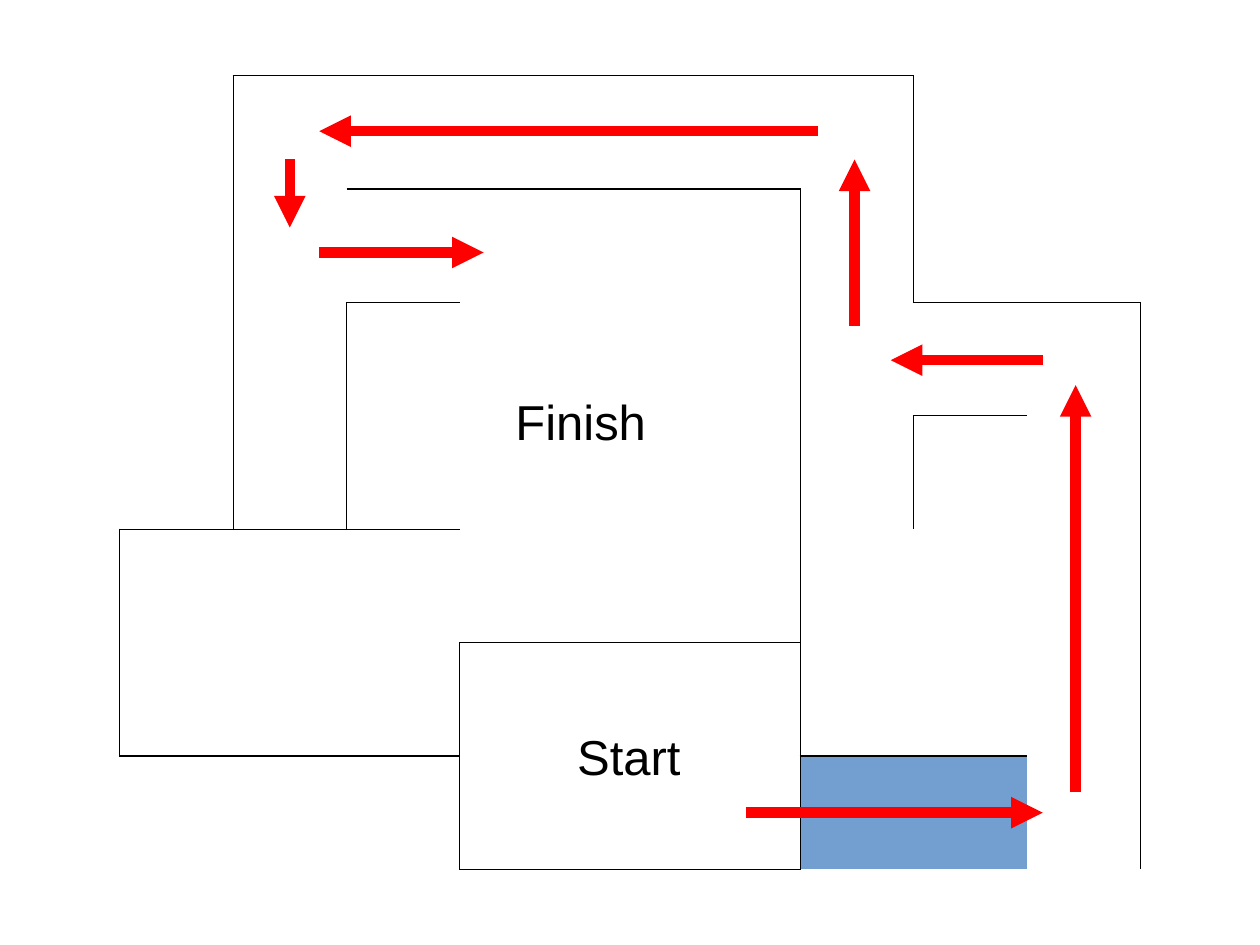
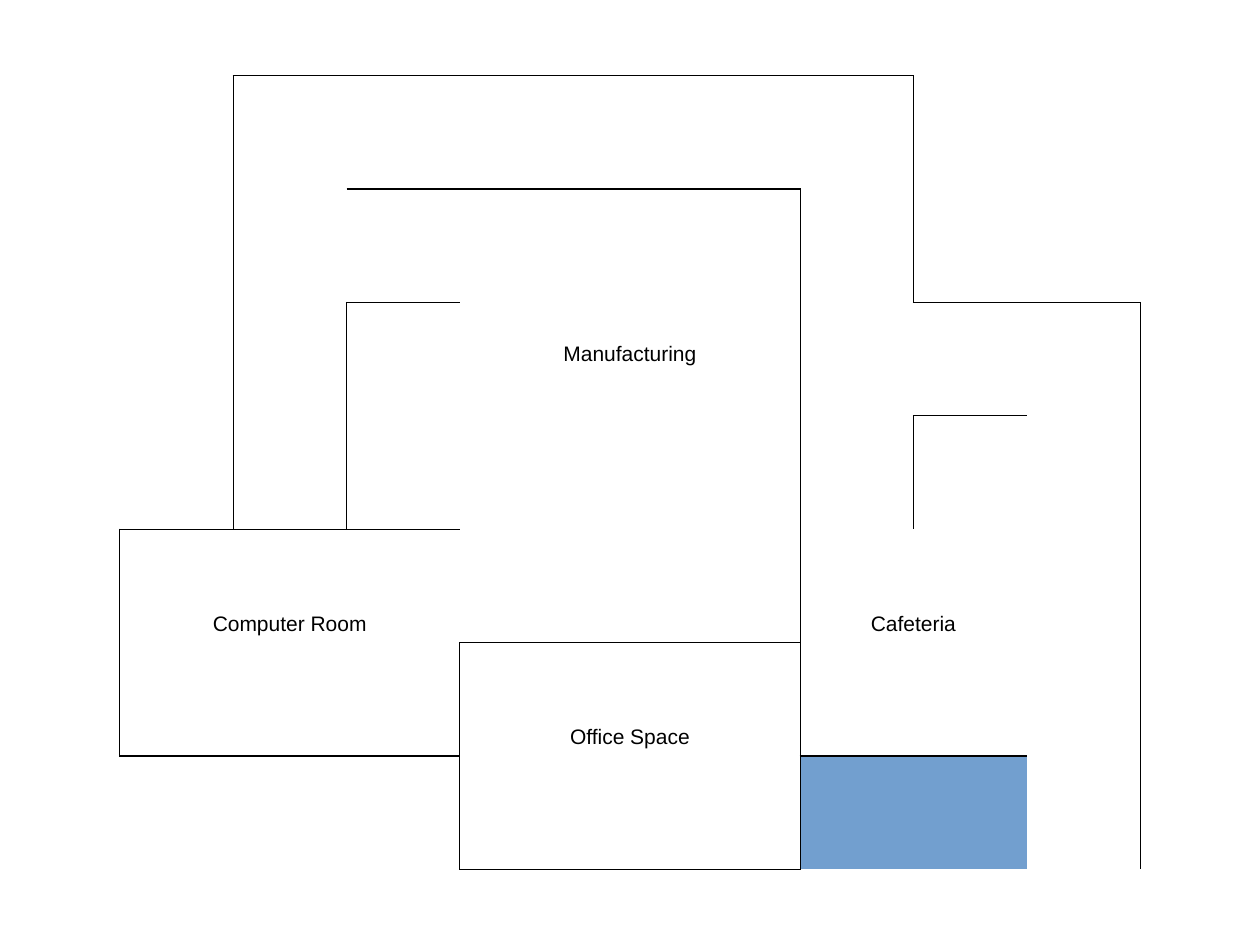
import pptx
import pptx.dml.color
import pptx.enum.shapes
import pptx.enum.text
import pptx.oxml
import pptx.oxml.ns
import pptx.util

BLACK, RED, BLUE = "000000", "FF0000", "729FCF"
FONT = "Arial"
CELL, LEFT, TOP = 0.9, 0.95, 0.6  # inches: grid step and its corner
ROWS, COLUMNS = 7, 9
PLAIN_TABLE_STYLE = "{2D5ABB26-0587-4C30-8999-92F81FD0307C}"

# Rooms and corridors: row, column, rows, columns, walls (L, R, T, B)
ROOMS = [
    (0, 1, 4, 1, "LT"),
    (0, 2, 1, 5, "RT"),
    (0, 7, 1, 1, "L"),
    (1, 2, 1, 1, "TB"),
    (1, 3, 4, 3, "RTB"),
    (1, 6, 3, 1, "L"),
    (1, 7, 1, 1, "LB"),
    (1, 8, 1, 1, "B"),
    (2, 2, 1, 1, "LT"),
    (2, 7, 1, 1, "TB"),
    (2, 8, 5, 1, "RTB"),
    (3, 2, 1, 1, "LB"),
    (3, 7, 1, 1, "LT"),
    (4, 0, 2, 3, "LTB"),
    (4, 6, 2, 2, "LB"),
    (5, 3, 2, 3, "LRTB"),
    (6, 0, 1, 1, "T"),
    (6, 1, 1, 1, "T"),
    (6, 2, 1, 1, "TR"),
    (6, 6, 1, 2, "LT"),
]
BLUE_ROOM = (6, 6)

# Room names: row, column, name, rows between the top wall and the name
ROOM_NAMES = [
    (1, 3, "Manufacturing", 1.35),
    (4, 0, "Computer Room", 0.73),
    (4, 6, "Cafeteria", 0.73),
    (5, 3, "Office Space", 0.73),
]

# Route from start to finish: column and row of both ends
ROUTE = [
    ((5.52, 6.5), (8.14, 6.5)),
    ((8.43, 6.32), (8.43, 2.73)),
    ((8.14, 2.51), (6.8, 2.51)),
    ((6.48, 2.21), (6.48, 0.74)),
    ((6.16, 0.49), (1.76, 0.49)),
    ((1.5, 0.74), (1.5, 1.34)),
    ((1.76, 1.56), (3.21, 1.56)),
]


def color(value):
    return pptx.dml.color.RGBColor.from_string(value)


def span(cells):
    return pptx.util.Inches(cells * CELL)


def position(column, row):
    return (pptx.util.Inches(LEFT + column * CELL),
            pptx.util.Inches(TOP + row * CELL))


def write(text_frame, text, size=12, fill=BLACK,
          align=pptx.enum.text.PP_ALIGN.CENTER):
    paragraph = text_frame.paragraphs[0]
    paragraph.alignment = align
    run = paragraph.add_run()
    run.text = text
    run.font.name = FONT
    run.font.size = pptx.util.Pt(size)
    run.font.color.rgb = color(fill)


class FloorPlan:
    def __init__(self, presentation):
        self.presentation = presentation
        self.slide = None

    def new_slide(self):
        layout = self.presentation.slide_layouts[6]
        self.slide = self.presentation.slides.add_slide(layout)

    def walls(self, cell, sides, width=0.75):
        properties = cell._tc.get_or_add_tcPr()
        solid = f'<a:solidFill><a:srgbClr val="{BLACK}"/></a:solidFill>'
        # Every side is stated, open ones too; borders come before the fill
        for index, side in enumerate("LRTB"):
            paint = solid if side in sides else "<a:noFill/>"
            properties.insert(index, pptx.oxml.parse_xml(
                f'<a:ln{side} {pptx.oxml.ns.nsdecls("a")} '
                f'w="{pptx.util.Pt(width)}">{paint}</a:ln{side}>'))

    def plan(self):
        table = self.slide.shapes.add_table(
            ROWS, COLUMNS, *position(0, 0), span(COLUMNS), span(ROWS)).table
        table.first_row = table.horz_banding = False
        style = table._tbl.tblPr.find(pptx.oxml.ns.qn("a:tableStyleId"))
        style.text = PLAIN_TABLE_STYLE
        for line in table.columns:
            line.width = span(1)
        for line in table.rows:
            line.height = span(1)

        # Walls of each cell: a room's first cell carries all of its walls,
        # the cells it covers carry those on their own edge
        cell_walls = {}
        for row, column, height, width, sides in ROOMS:
            last_row, last_column = row + height - 1, column + width - 1
            if height * width > 1:
                table.cell(row, column).merge(table.cell(last_row, last_column))
            for r in range(row, last_row + 1):
                for c in range(column, last_column + 1):
                    on_edge = {"L": c == column, "R": c == last_column,
                               "T": r == row, "B": r == last_row}
                    cell_walls[r, c] = [s for s in sides if on_edge[s]]
            cell_walls[row, column] = sides

        for r in range(ROWS):
            for c in range(COLUMNS):
                cell = table.cell(r, c)
                cell.fill.background()
                self.walls(cell, cell_walls.get((r, c), ""))

        blue_room = table.cell(*BLUE_ROOM)
        blue_room.fill.solid()
        blue_room.fill.fore_color.rgb = color(BLUE)
        return table

    def room_name(self, table, row, column, name, offset):
        cell = table.cell(row, column)
        cell.margin_top = span(offset)
        write(cell.text_frame, name)

    def label(self, text, column, row, width, height=0.63):
        box = self.slide.shapes.add_textbox(
            *position(column, row), span(width), span(height))
        box.text_frame.word_wrap = False
        box.text_frame.auto_size = pptx.enum.text.MSO_AUTO_SIZE.SHAPE_TO_FIT_TEXT
        write(box.text_frame, text, size=28)

    def arrow(self, start, end):
        connector = self.slide.shapes.add_connector(
            pptx.enum.shapes.MSO_CONNECTOR.STRAIGHT,
            *position(*start), *position(*end))
        connector.line.color.rgb = color(RED)
        connector.line.width = pptx.util.Pt(6)
        namespace = pptx.oxml.ns.nsdecls("a")
        connector.line._get_or_add_ln().append(
            pptx.oxml.parse_xml(f'<a:tailEnd {namespace} type="triangle"/>'))
        connector._element.spPr.append(
            pptx.oxml.parse_xml(f"<a:effectLst {namespace}/>"))


def main():
    presentation = pptx.Presentation()
    presentation.slide_width = pptx.util.Inches(10)
    presentation.slide_height = pptx.util.Inches(7.5)
    floor = FloorPlan(presentation)

    # Route through the building
    floor.new_slide()
    floor.plan()
    floor.label("Start", 3.92, 5.69, 1.14)
    floor.label("Finish", 3.37, 2.73, 1.39)
    for start, end in ROUTE:
        floor.arrow(start, end)

    # Names of the rooms
    floor.new_slide()
    table = floor.plan()
    for room in ROOM_NAMES:
        floor.room_name(table, *room)

    presentation.save("out.pptx")


if __name__ == "__main__":
    main()
